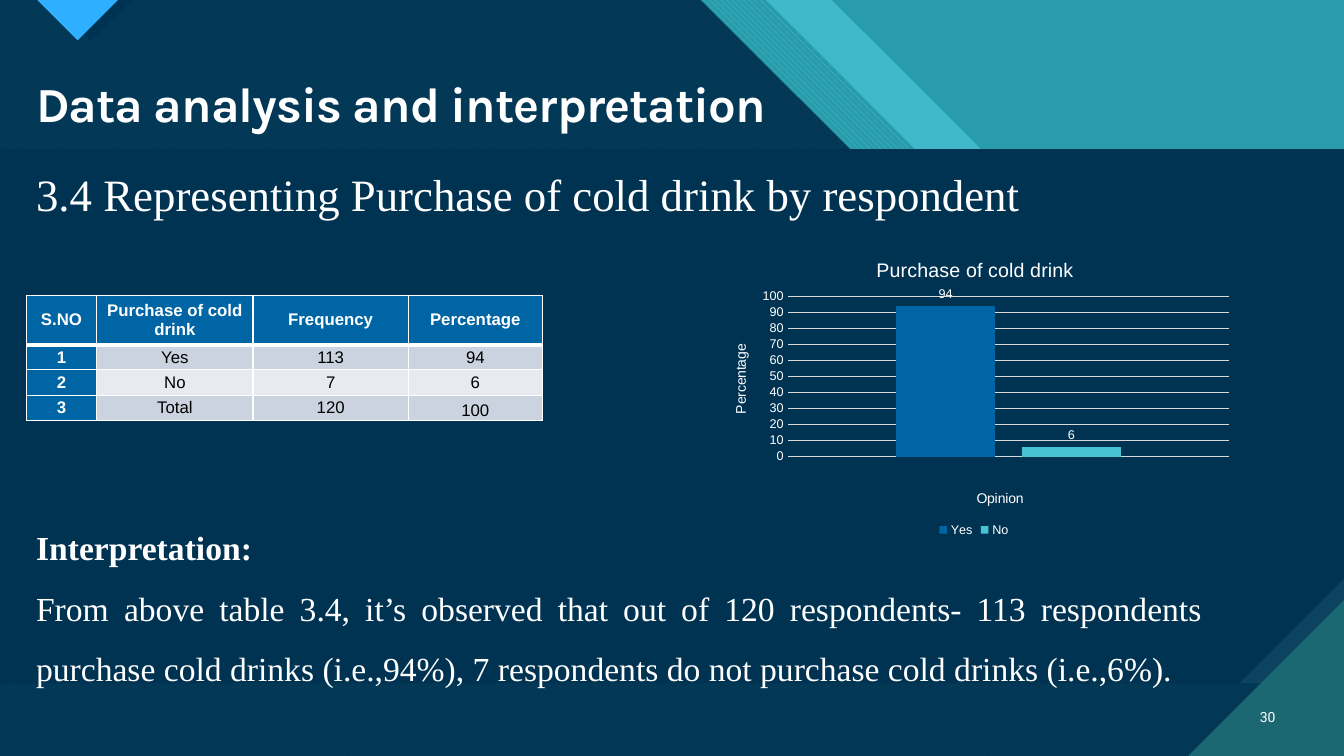
from dataclasses import dataclass
from typing import Any, Optional

from lxml.etree import SubElement
from pptx import Presentation
from pptx.chart.data import CategoryChartData
from pptx.dml.color import RGBColor
from pptx.enum.chart import XL_CHART_TYPE, XL_LABEL_POSITION as LabelPos
from pptx.enum.chart import XL_LEGEND_POSITION as LegendPos, XL_TICK_MARK as Tick
from pptx.enum.dml import MSO_PATTERN as Pattern
from pptx.enum.text import MSO_ANCHOR as Anchor, PP_ALIGN as Align
from pptx.oxml.ns import qn
from pptx.util import Inches, Pt

COLORS = {
    "white": "FFFFFF", "black": "000000", "navy": "003352", "slate": "0C4360",
    "teal": "299CAB", "aqua": "47C3D3", "pale_aqua": "3FB9C9", "deep_teal": "1B6872",
    "sky": "2FAFFF", "blue": "0065A4", "grid": "D9D9D9",
    "band_dark": "CCD3E0", "band_light": "E7EAF0",
}
WIDTH, HEIGHT = 13.33, 7.5
BAND_BOTTOM, PANEL_BOTTOM = 1.48, 6.78
SNIP = 1.04
CORNER = 1.54


@dataclass
class Area:
    """A filled polygon of the backdrop; back is the second pattern colour."""
    points: list[tuple[float, float]]
    color: str
    pattern: Optional[Pattern] = None
    back: str = ""
    alpha: int = 100


@dataclass
class Line:
    text: str
    size: float
    font: str = "Times New Roman"
    bold: bool = False
    align: Align = Align.JUSTIFY
    spacing: float = 1.0


@dataclass
class Passage:
    box: tuple[float, float, float, float]
    lines: list[Line]
    anchor: Anchor = Anchor.TOP


def slanted_band(edge: float) -> list[tuple[float, float]]:
    """Top band whose right edge starts at edge and falls at 45 degrees."""
    return [(0, 0), (edge, 0), (edge + BAND_BOTTOM, BAND_BOTTOM), (0, BAND_BOTTOM)]


def rectangle(top: float, bottom: float) -> list[tuple[float, float]]:
    return [(0, top), (WIDTH, top), (WIDTH, bottom), (0, bottom)]


DARK_GROUND = [*slanted_band(6.95)[:3], (WIDTH, BAND_BOTTOM), (WIDTH, HEIGHT), (0, HEIGHT)]
AREAS = [
    Area(rectangle(0, HEIGHT), "teal"),
    Area(slanted_band(8.25), "pale_aqua"),
    Area(slanted_band(7.6), "aqua", Pattern.WIDE_DOWNWARD_DIAGONAL, "teal"),
    Area(DARK_GROUND, "aqua", Pattern.WIDE_UPWARD_DIAGONAL, "deep_teal"),
    Area(DARK_GROUND, "navy", alpha=90),
    Area([(0.48, 0), (1.31, 0), (0.9, 0.41)], "navy"),
    Area([(0.37, 0), (1.17, 0), (0.77, 0.4)], "sky", Pattern.DARK_HORIZONTAL, "deep_teal"),
    Area(rectangle(BAND_BOTTOM, PANEL_BOTTOM), "slate", Pattern.DARK_VERTICAL, "deep_teal"),
    Area([(0, BAND_BOTTOM), (WIDTH, BAND_BOTTOM), (WIDTH, PANEL_BOTTOM - SNIP),
          (WIDTH - SNIP, PANEL_BOTTOM), (0, PANEL_BOTTOM)], "navy"),
    Area([(WIDTH - CORNER, HEIGHT), (WIDTH, HEIGHT), (WIDTH, HEIGHT - CORNER)],
         "deep_teal", Pattern.DARK_HORIZONTAL, "aqua"),
]
PASSAGES = [
    Passage((0.26, 0.75, 7.56, 0.63),
            [Line("Data analysis and interpretation", 35, "Karla", True, Align.LEFT, 0.9)]),
    Passage((12.31, 6.91, 0.44, 0.4), [Line("30", 10, "Roboto", align=Align.RIGHT)],
            Anchor.MIDDLE),
    Passage((0.26, 1.6, 11.3, 0.64),
            [Line("3.4 Representing Purchase of cold drink by respondent", 32)]),
    Passage((0.26, 4.98, 11.76, 1.85), [
        Line("Interpretation:", 24, bold=True, spacing=1.5),
        Line("From above table 3.4, it’s observed that out of 120 respondents- 113 respondents "
             "purchase cold drinks (i.e.,94%), 7 respondents do not purchase cold drinks "
             "(i.e.,6%).", 24, spacing=1.5)]),
]
TABLE_ROWS = [
    ("S.NO", "Purchase of cold drink", "Frequency", "Percentage"),
    ("1", "Yes", "113", "94"),
    ("2", "No", "7", "6"),
    ("3", "Total", "120", "100"),
]
COLUMN_WIDTHS = (0.7, 1.55, 1.54, 1.33)
ROW_HEIGHTS = (0.49, 0.25, 0.25, 0.25)
OPINIONS = [("Yes", 94, "blue"), ("No", 6, "aqua")]


def rgb(name: str) -> RGBColor:
    return RGBColor.from_string(COLORS[name])


def style_font(font: Any, size: float, name: str = "Arial", color: str = "white",
               bold: bool = False) -> None:
    font.size, font.name, font.bold = Pt(size), name, bold
    font.color.rgb = rgb(color)


def draw_area(shapes: Any, area: Area) -> None:
    corners = [(Inches(x), Inches(y)) for x, y in area.points]
    builder = shapes.build_freeform(*corners[0], scale=1.0)
    builder.add_line_segments(corners[1:], close=True)
    outline = builder.convert_to_shape()
    outline.shadow.inherit = False
    outline.line.fill.background()
    fill = outline.fill
    if area.pattern is not None:
        fill.patterned()
        fill.pattern = area.pattern
        fill.fore_color.rgb, fill.back_color.rgb = rgb(area.color), rgb(area.back)
        return
    fill.solid()
    fill.fore_color.rgb = rgb(area.color)
    if area.alpha < 100:
        tint = outline._element.spPr.find(".//" + qn("a:srgbClr"))
        SubElement(tint, qn("a:alpha"), val=str(area.alpha * 1000))


def write_passage(shapes: Any, passage: Passage) -> None:
    frame = shapes.add_textbox(*map(Inches, passage.box)).text_frame
    frame.word_wrap = True
    frame.vertical_anchor = passage.anchor
    for index, line in enumerate(passage.lines):
        paragraph = frame.add_paragraph() if index else frame.paragraphs[0]
        paragraph.text = line.text
        paragraph.alignment, paragraph.line_spacing = line.align, line.spacing
        style_font(paragraph.font, line.size, line.font, bold=line.bold)
        if line.font == "Karla":
            paragraph.runs[0].font._element.set("spc", "-70")


def border_cell(cell: Any, bottom: float) -> None:
    """Add white borders ahead of the cell's fill."""
    properties = cell._tc.get_or_add_tcPr()
    for index, side in enumerate(("lnL", "lnR", "lnT", "lnB")):
        width = bottom if side == "lnB" else 1
        border = SubElement(properties, qn(f"a:{side}"), w=str(Pt(width)))
        paint = SubElement(border, qn("a:solidFill"))
        SubElement(paint, qn("a:srgbClr"), val=COLORS["white"])
        properties.insert(index, border)


def add_frequency_table(shapes: Any) -> None:
    table = shapes.add_table(len(TABLE_ROWS), len(COLUMN_WIDTHS), Inches(0.26), Inches(2.93),
                             Inches(sum(COLUMN_WIDTHS)), Inches(sum(ROW_HEIGHTS))).table
    for column, width in zip(table.columns, COLUMN_WIDTHS):
        column.width = Inches(width)
    for r, (height, values) in enumerate(zip(ROW_HEIGHTS, TABLE_ROWS)):
        table.rows[r].height = Inches(height)
        for c, value in enumerate(values):
            cell = table.cell(r, c)
            heading = r == 0 or c == 0
            cell.text = value
            cell.margin_left = cell.margin_right = Inches(0.07)
            cell.margin_top = cell.margin_bottom = 0
            cell.vertical_anchor = Anchor.BOTTOM if value == "100" else Anchor.MIDDLE
            cell.fill.solid()
            cell.fill.fore_color.rgb = rgb(
                "blue" if heading else "band_dark" if r % 2 else "band_light")
            paragraph = cell.text_frame.paragraphs[0]
            paragraph.alignment = Align.CENTER
            style_font(paragraph.font, 12, color="white" if heading else "black", bold=heading)
            border_cell(cell, bottom=1 if r else 3)


def place(part: Any, **position: float) -> None:
    """Fix a chart part at fractions of the chart's size."""
    layout = part.find(qn("c:layout"))
    if layout is None:
        layout = SubElement(part, qn("c:layout"))
        part.insert(0, layout)
    manual = SubElement(layout, qn("c:manualLayout"))
    if "w" in position:
        SubElement(manual, qn("c:layoutTarget"), val="inner")
    for key in ("x", "y"):
        SubElement(manual, qn(f"c:{key}Mode"), val="edge")
    for key, value in position.items():
        SubElement(manual, qn(f"c:{key}"), val=str(value))


def set_title(title: Any, text: str, size: float, x: float, y: float) -> None:
    title.text_frame.text = text
    style_font(title.text_frame.paragraphs[0].font, size)
    place(title._element, x=x, y=y)


def add_opinion_chart(shapes: Any) -> None:
    data = CategoryChartData()
    data.categories = ["1"]
    for name, percentage, _ in OPINIONS:
        data.add_series(name, [percentage])
    chart = shapes.add_chart(XL_CHART_TYPE.COLUMN_CLUSTERED, Inches(7.02), Inches(2.37),
                             Inches(5.28), Inches(3), data).chart
    style_font(chart.font, 10)
    set_title(chart.chart_title, "Purchase of cold drink", 14, 0.31, 0.05)
    place(chart._chartSpace.chart.plotArea, x=0.15, y=0.19, w=0.83, h=0.53)
    chart.has_legend = True
    chart.legend.position, chart.legend.include_in_layout = LegendPos.BOTTOM, False
    style_font(chart.legend.font, 9)

    opinion, percent = chart.category_axis, chart.value_axis
    opinion.visible = False
    set_title(opinion.axis_title, "Opinion", 10, 0.5, 0.82)
    set_title(percent.axis_title, "Percentage", 10, 0.04, 0.34)
    percent.minimum_scale, percent.maximum_scale, percent.major_unit = 0, 100, 10
    percent.major_tick_mark = Tick.NONE
    percent.format.line.fill.background()
    percent.major_gridlines.format.line.color.rgb = rgb("grid")
    percent.major_gridlines.format.line.width = Pt(0.75)
    style_font(percent.tick_labels.font, 9)

    columns = chart.plots[0]
    columns.vary_by_categories = False
    columns.gap_width, columns.overlap = 219, -27
    for series, (_, _, color) in zip(columns.series, OPINIONS):
        series.format.fill.solid()
        series.format.fill.fore_color.rgb = rgb(color)
        labels = series.data_labels
        labels.show_value, labels.position = True, LabelPos.OUTSIDE_END
        style_font(labels.font, 9)


def main() -> None:
    deck = Presentation()
    deck.slide_width, deck.slide_height = Inches(WIDTH), Inches(HEIGHT)
    slide = deck.slides.add_slide(deck.slide_layouts[6])
    slide.background.fill.solid()
    slide.background.fill.fore_color.rgb = rgb("aqua")
    for area in AREAS:
        draw_area(slide.shapes, area)
    for passage in PASSAGES:
        write_passage(slide.shapes, passage)
    add_frequency_table(slide.shapes)
    add_opinion_chart(slide.shapes)
    deck.save("out.pptx")


if __name__ == "__main__":
    main()
